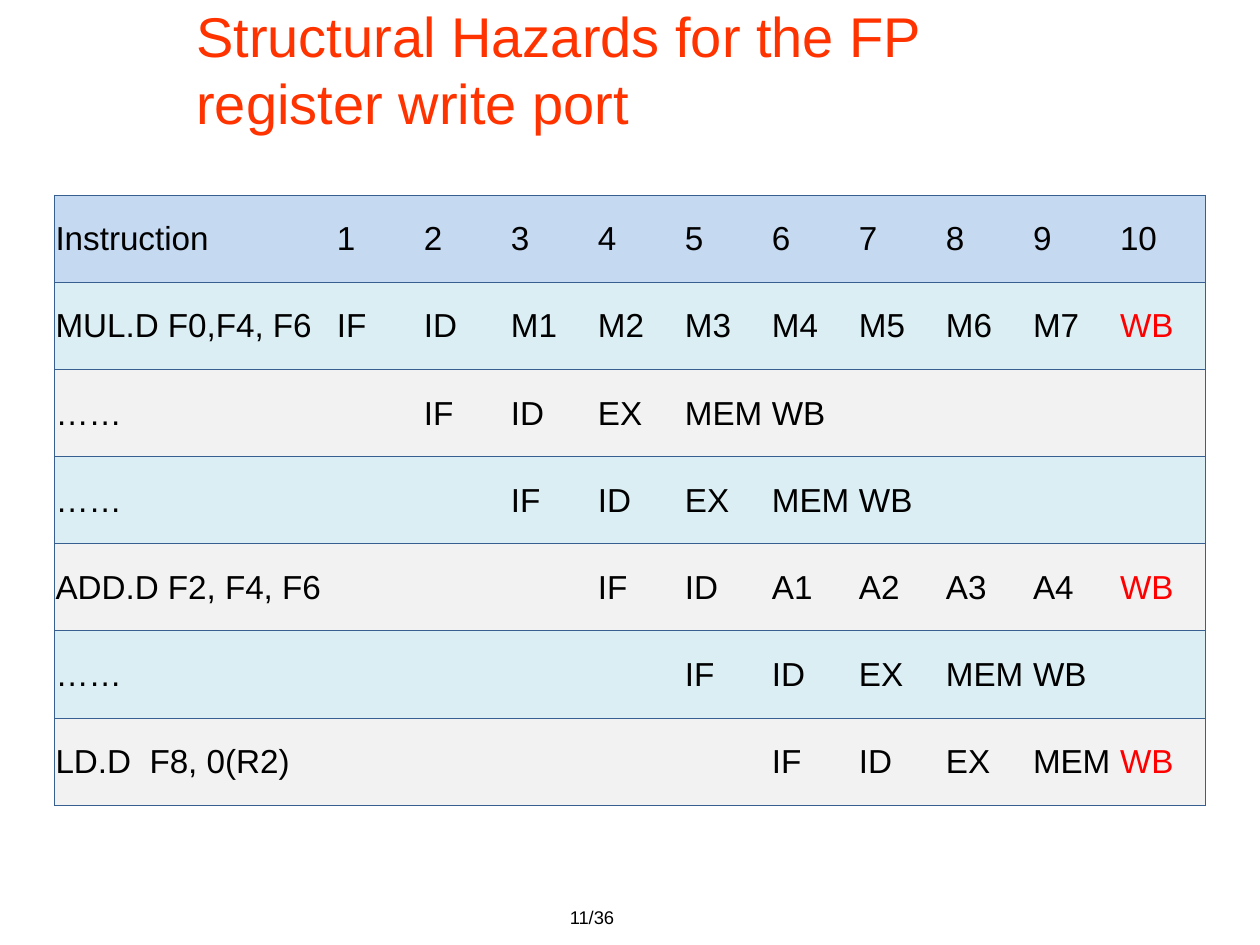
from typing import NamedTuple

import pptx
import pptx.dml.color
import pptx.enum.text
import pptx.util
from lxml import etree

Pt = pptx.util.Pt
Align = pptx.enum.text.PP_ALIGN
Anchor = pptx.enum.text.MSO_ANCHOR
DRAWING_NS = "{http://schemas.openxmlformats.org/drawingml/2006/main}"

BLACK, RED, TITLE_RED, WHITE = "000000", "FF0000", "FF3300", "FFFFFF"
HEADER_FILL, BLUE_FILL, GREY_FILL = "C5D9F1", "DBEEF3", "F2F2F2"
BORDER = "376091"
CYCLES = 10
NAME_WIDTH, CYCLE_WIDTH, ROW_HEIGHT = 160.8, 49.72, 49.82


class Instruction(NamedTuple):
    name: str
    start: int  # clock cycle of the first stage
    stages: str
    conflict: bool = False  # its WB competes for the write port


INSTRUCTIONS = [
    Instruction("MUL.D F0,F4, F6", 1, "IF ID M1 M2 M3 M4 M5 M6 M7 WB", True),
    Instruction("……", 2, "IF ID EX MEM WB"),
    Instruction("……", 3, "IF ID EX MEM WB"),
    Instruction("ADD.D F2, F4, F6", 4, "IF ID A1 A2 A3 A4 WB", True),
    Instruction("……", 5, "IF ID EX MEM WB"),
    Instruction("LD.D  F8, 0(R2)", 6, "IF ID EX MEM WB", True),
]


def rgb(color: str) -> pptx.dml.color.RGBColor:
    return pptx.dml.color.RGBColor.from_string(color)


def set_fill(obj, color: str) -> None:
    obj.fill.solid()
    obj.fill.fore_color.rgb = rgb(color)


def write(tf, text: str, *, size: float, color: str = BLACK, align=Align.LEFT) -> None:
    p = tf.paragraphs[0]
    p.alignment = align
    r = p.add_run()
    r.text = text
    r.font.name = "Arial"
    r.font.size = Pt(size)
    r.font.color.rgb = rgb(color)


def set_borders(cell, sides: str) -> None:
    """Draw the sides named by the letters L, R, T and B; hide the others."""
    tc_pr = cell._tc.get_or_add_tcPr()
    for i, side in enumerate("LRTB"):
        ln = etree.Element(f"{DRAWING_NS}ln{side}", w=str(Pt(0.5)))
        if side in sides:
            fill = etree.SubElement(ln, f"{DRAWING_NS}solidFill")
            etree.SubElement(fill, f"{DRAWING_NS}srgbClr", val=BORDER)
        else:
            etree.SubElement(ln, f"{DRAWING_NS}noFill")
        tc_pr.insert(i, ln)


def fill_row(table, row: int, texts: list[str], fill: str, conflict: bool = False) -> None:
    for col, text in enumerate(texts):
        cell = table.cell(row, col)
        cell.vertical_anchor = Anchor.MIDDLE
        cell.margin_left = cell.margin_right = cell.margin_top = Pt(0.75)
        cell.margin_bottom = 0
        set_fill(cell, fill)
        set_borders(cell, "TB" + {0: "L", CYCLES: "R"}.get(col, ""))
        if text:
            color = RED if conflict and text == "WB" else BLACK
            write(cell.text_frame, text, size=19, color=color)


def add_title(s, text: str) -> None:
    sp = s.shapes.title
    sp.left, sp.top, sp.width, sp.height = Pt(105), 0, Pt(487), Pt(78)
    set_fill(sp, WHITE)
    tf = sp.text_frame
    tf.word_wrap = True
    tf.auto_size = pptx.enum.text.MSO_AUTO_SIZE.NONE
    tf.vertical_anchor = Anchor.MIDDLE
    write(tf, text, size=32, color=TITLE_RED)


def add_pipeline_table(s) -> None:
    frame = s.shapes.add_table(
        len(INSTRUCTIONS) + 1, CYCLES + 1, Pt(31), Pt(111.4),
        Pt(NAME_WIDTH + CYCLES * CYCLE_WIDTH), Pt(ROW_HEIGHT * (len(INSTRUCTIONS) + 1)))
    table = frame.table
    table.first_row = table.horz_banding = False
    for col, column in enumerate(table.columns):
        column.width = Pt(CYCLE_WIDTH if col else NAME_WIDTH)
    for row in table.rows:
        row.height = Pt(ROW_HEIGHT)

    header = ["Instruction", *map(str, range(1, CYCLES + 1))]
    fill_row(table, 0, header, HEADER_FILL)
    for row, ins in enumerate(INSTRUCTIONS, 1):
        stages = ins.stages.split()
        before = [""] * (ins.start - 1)
        after = [""] * (CYCLES - len(before) - len(stages))
        fill = BLUE_FILL if row % 2 else GREY_FILL
        fill_row(table, row, [ins.name, *before, *stages, *after], fill, ins.conflict)


def add_page_number(s, text: str) -> None:
    sp = s.shapes.add_textbox(Pt(208), Pt(514), Pt(150), Pt(36))
    sp.text_frame.word_wrap = True
    write(sp.text_frame, text, size=10.5, align=Align.RIGHT)


def main() -> None:
    prs = pptx.Presentation()
    prs.slide_width, prs.slide_height = Pt(720), Pt(540)
    s = prs.slides.add_slide(prs.slide_layouts[5])
    add_title(s, "Structural Hazards for the FP register write port")
    add_pipeline_table(s)
    add_page_number(s, "11/36")
    prs.save("out.pptx")


if __name__ == "__main__":
    main()
